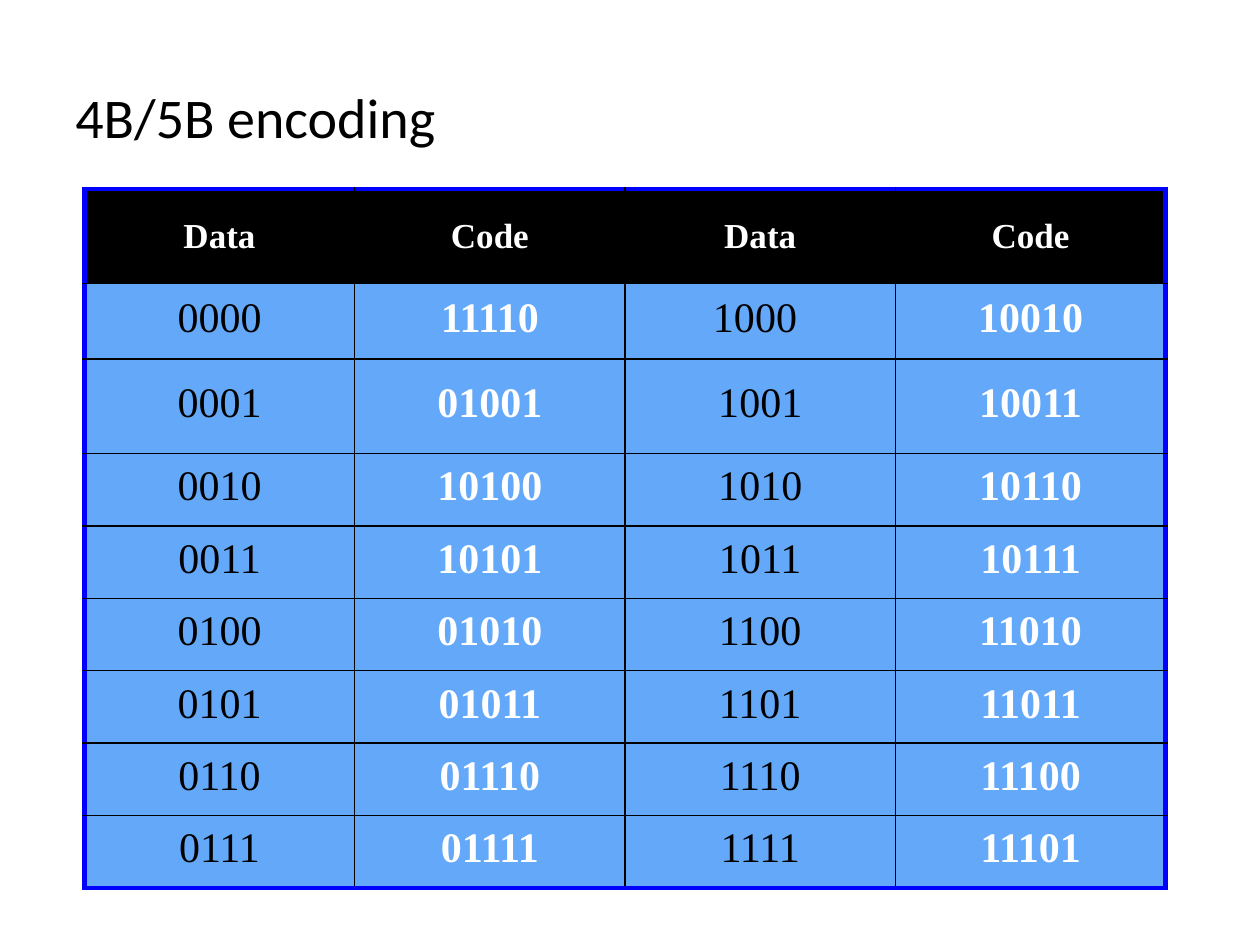
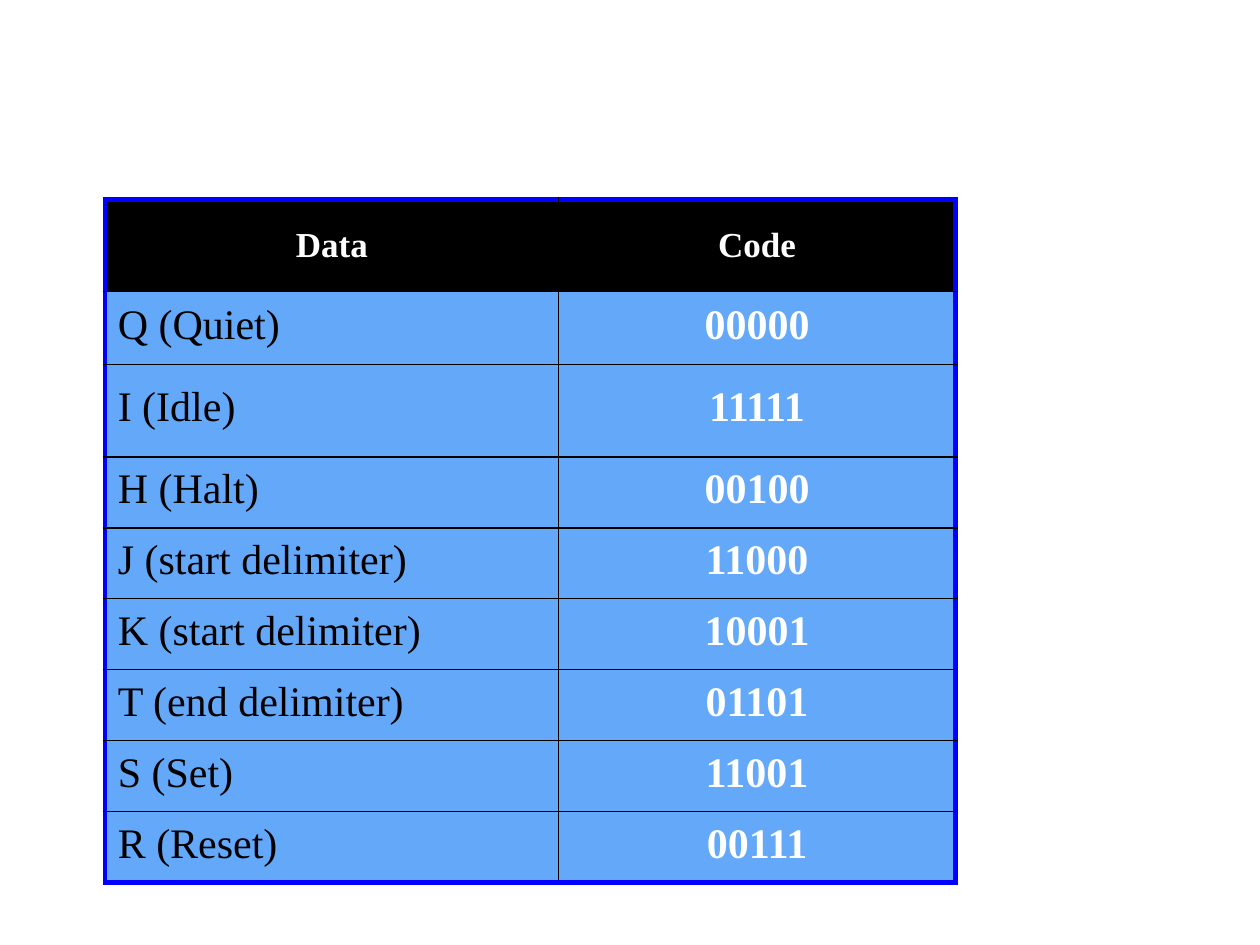
from lxml.etree import fromstring
from pptx import Presentation
from pptx.dml.color import RGBColor
from pptx.enum.text import MSO_ANCHOR as Anchor, PP_ALIGN as Align
from pptx.oxml.ns import nsdecls
from pptx.util import Cm, Pt

BLACK = RGBColor(0x00, 0x00, 0x00)
WHITE = RGBColor(0xFF, 0xFF, 0xFF)
FRAME_BLUE = RGBColor(0x00, 0x00, 0xFF)
CELL_BLUE = RGBColor(0x64, 0xA8, 0xFA)
TITLE_FONT, TABLE_FONT = "Calibri", "Times New Roman"

SLIDES = [
    {
        "title": "4B/5B encoding",
        "left": 1.7, "top": 3.81,
        "cols": [5.45] * 4,
        "rows": [1.9, 1.53, 1.9] + [1.46] * 6,
        "data_align": Align.CENTER,
        "cells": [
            ("Data", "Code", "Data", "Code"),
            ("0000", "11110", "1000 ", "10010"),
            ("0001", "01001", "1001", "10011"),
            ("0010", "10100", "1010", "10110"),
            ("0011", "10101", "1011", "10111"),
            ("0100", "01010", "1100", "11010"),
            ("0101", "01011", "1101", "11011"),
            ("0110", "01110", "1110", "11100"),
            ("0111", "01111", "1111", "11101"),
        ],
    },
    {
        "title": None,
        "left": 2.12, "top": 4.02,
        "cols": [9.14, 8.0],
        "rows": [1.86, 1.47, 1.86] + [1.43] * 6,
        "data_align": Align.LEFT,
        "cells": [
            ("Data", "Code"),
            ("Q (Quiet)", "00000"),
            ("I (Idle)", "11111"),
            ("H (Halt)", "00100"),
            ("J (start delimiter)", "11000"),
            ("K (start delimiter)", "10001"),
            ("T (end delimiter)", "01101"),
            ("S (Set)", "11001"),
            ("R (Reset)", "00111"),
        ],
    },
]


def write(p, text, **fmt):
    r = p.add_run()
    r.text = text
    r.font.color.rgb = fmt.pop("color")
    for name, value in fmt.items():
        setattr(r.font, name, value)


def add_title(s, text):
    tf = s.shapes.add_textbox(Cm(1.27), Cm(0.76), Cm(22.86), Cm(3.18)).text_frame
    tf.word_wrap = True
    tf.vertical_anchor = Anchor.MIDDLE
    write(tf.paragraphs[0], text, name=TITLE_FONT, size=Pt(32), color=BLACK)


def set_borders(cell, outer):
    """Draw thick blue lines on the outer sides and thin black ones inside."""
    tc_pr = cell._tc.get_or_add_tcPr()
    for i, (side, is_outer) in enumerate(outer.items()):
        color, width = (FRAME_BLUE, Pt(3)) if is_outer else (BLACK, Pt(1))
        tc_pr.insert(i, fromstring(
            f'<a:ln{side} {nsdecls("a")} w="{width}"><a:solidFill>'
            f'<a:srgbClr val="{color}"/></a:solidFill></a:ln{side}>'))


def fill_cell(cell, text, is_header, is_code, data_align):
    cell.fill.solid()
    cell.fill.fore_color.rgb = BLACK if is_header else CELL_BLUE
    cell.vertical_anchor = Anchor.MIDDLE
    p = cell.text_frame.paragraphs[0]
    strong = is_header or is_code
    p.alignment = Align.CENTER if strong else data_align
    if is_header:
        p.space_before = Pt(4)
    else:
        p.line_spacing = 0.8
    write(p, text, name=TABLE_FONT, size=Pt(20 if is_header else 24),
          bold=strong, color=WHITE if strong else BLACK)


def add_code_table(s, spec_):
    cols, rows = spec_["cols"], spec_["rows"]
    table = s.shapes.add_table(
        len(rows), len(cols), Cm(spec_["left"]), Cm(spec_["top"]),
        Cm(sum(cols)), Cm(sum(rows))).table
    for col, width in zip(table.columns, cols):
        col.width = Cm(width)
    for row, height in zip(table.rows, rows):
        row.height = Cm(height)
    for y, texts in enumerate(spec_["cells"]):
        for x, text in enumerate(texts):
            cell = table.cell(y, x)
            fill_cell(cell, text, y == 0, x % 2 == 1, spec_["data_align"])
            set_borders(cell, {"L": x == 0, "R": x == len(cols) - 1,
                               "T": y == 0, "B": y == len(rows) - 1})


def main():
    prs = Presentation()
    prs.slide_width, prs.slide_height = Cm(25.4), Cm(19.05)
    for content in SLIDES:
        s = prs.slides.add_slide(prs.slide_layouts[6])
        if content["title"]:
            add_title(s, content["title"])
        add_code_table(s, content)
    prs.save("out.pptx")


if __name__ == "__main__":
    main()
